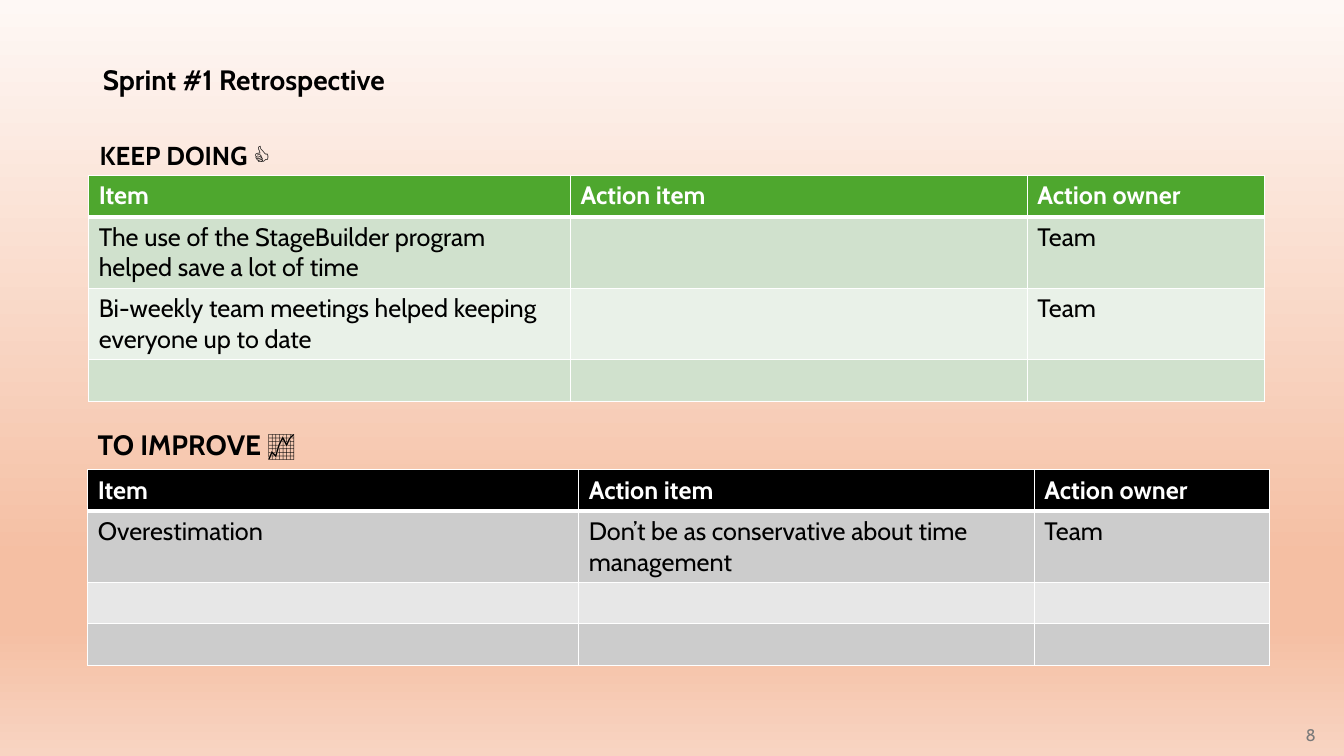
from copy import deepcopy

from lxml import etree
from pptx import Presentation
from pptx.dml.color import RGBColor
from pptx.enum.text import MSO_ANCHOR, PP_ALIGN
from pptx.oxml.ns import qn
from pptx.util import Inches, Pt

LEFT, RIGHT = PP_ALIGN.LEFT, PP_ALIGN.RIGHT
TOP, MIDDLE = MSO_ANCHOR.TOP, MSO_ANCHOR.MIDDLE

FONT = "Cabin"
COLORS = {
    "text": "000000",
    "light": "FFFFFF",
    "page": "797979",
    "keep_header": "4EA72E",
    "keep_odd": "D0E1CD",
    "keep_even": "E9F1E8",
    "improve_header": "000000",
    "improve_odd": "CCCCCC",
    "improve_even": "E7E7E7",
}
BACKGROUND_STOPS = [(0, "FEF8F5"), (74, "F5BFA3"), (83, "F5BFA3"), (100, "F8D4C2")]

HEADINGS = ["Item", "Action item", "Action owner"]
KEEP_ROWS = [
    ["The use of the StageBuilder program helped save a lot of time", "", "Team"],
    ["Bi-weekly team meetings helped keeping everyone up to date", "", "Team"],
    ["", "", ""],
]
IMPROVE_ROWS = [
    ["Overestimation", "Don’t be as conservative about time management", "Team"],
    ["", "", ""],
    ["", "", ""],
]
ONE_LINE, TWO_LINES = 0.41, 0.71


def rgb(name):
    return RGBColor.from_string(COLORS[name])


def paint_background(slide):
    fill = slide.background.fill
    fill.gradient()
    fill.gradient_angle = 270
    stop_list = next(slide.element.iter(qn("a:gsLst")))
    stop_list.extend([deepcopy(stop_list[0]) for _ in BACKGROUND_STOPS[2:]])
    for stop, (percent, color) in zip(fill.gradient_stops, BACKGROUND_STOPS):
        stop.color.rgb = RGBColor.from_string(color)
    for element, (percent, _) in zip(stop_list, BACKGROUND_STOPS):
        element.set("pos", str(percent * 1000))


def write(frame, text, size, color="text", bold=False, **paragraph_format):
    paragraph = frame.paragraphs[0]
    for attribute, value in paragraph_format.items():
        setattr(paragraph, attribute, value)
    run = paragraph.add_run()
    run.text = text
    formats = {"name": FONT, "size": Pt(size), "bold": bold}
    for attribute, value in formats.items():
        setattr(run.font, attribute, value)
    run.font.color.rgb = rgb(color)


def add_title(slide, text):
    title = slide.shapes.title
    position = {"left": 0.92, "top": 0.4, "width": 11.5, "height": 0.81}
    for attribute, value in position.items():
        setattr(title, attribute, Inches(value))
    title.text_frame.vertical_anchor = MIDDLE
    write(title.text_frame, text, 20, bold=True, alignment=LEFT, line_spacing=0.9)


def add_label(slide, box, text, size, anchor=TOP, **formats):
    frame = slide.shapes.add_textbox(*map(Inches, box)).text_frame
    frame.word_wrap = True
    frame.vertical_anchor = anchor
    write(frame, text, size, **formats)


def add_borders(cell, bottom_width):
    properties = cell._tc.get_or_add_tcPr()
    widths = {"a:lnL": 1, "a:lnR": 1, "a:lnT": 1, "a:lnB": bottom_width}
    for index, (tag, width) in enumerate(widths.items()):
        line = etree.Element(qn(tag), w=str(Pt(width)))
        solid = etree.SubElement(line, qn("a:solidFill"))
        etree.SubElement(solid, qn("a:srgbClr"), val=COLORS["light"])
        properties.insert(index, line)


def add_action_table(slide, left, top, widths, heights, rows, theme):
    table = slide.shapes.add_table(
        len(heights), len(widths), Inches(left), Inches(top),
        Inches(sum(widths)), Inches(sum(heights))).table
    for column, width in zip(table.columns, widths):
        column.width = Inches(width)
    for row, height in zip(table.rows, heights):
        row.height = Inches(height)

    for r, texts in enumerate([HEADINGS] + rows):
        header = r == 0
        band = "header" if header else "odd" if r % 2 else "even"
        for c, text in enumerate(texts):
            cell = table.cell(r, c)
            cell.fill.solid()
            cell.fill.fore_color.rgb = rgb(f"{theme}_{band}")
            add_borders(cell, 3 if header else 1)
            if text:
                write(cell.text_frame, text, 18, "light" if header else "text", header)


def main():
    deck = Presentation()
    deck.slide_width, deck.slide_height = Inches(13.33), Inches(7.5)
    slide = deck.slides.add_slide(deck.slide_layouts[5])
    paint_background(slide)

    # Title and page number
    add_title(slide, "Sprint #1 Retrospective")
    add_label(slide, (10.15, 7.09, 3, 0.4), "8", 12, MIDDLE,
              color="page", alignment=RIGHT)

    # What to keep doing
    add_label(slide, (0.89, 1.21, 5.87, 0.56), "KEEP DOING 👍", 18.5,
              bold=True, line_spacing=1.4, space_before=Pt(10))
    add_action_table(slide, 0.88, 1.74, [4.78, 4.53, 2.35],
                     [ONE_LINE, TWO_LINES, TWO_LINES, ONE_LINE], KEEP_ROWS, "keep")

    # What to improve
    add_label(slide, (0.87, 4.03, 10.1, 0.64), "TO IMPROVE\u00a0📈".replace("\u00a0", " "), 20,
              bold=True, line_spacing=1.5, space_before=Pt(10))
    add_action_table(slide, 0.87, 4.66, [4.87, 4.52, 2.33],
                     [ONE_LINE, TWO_LINES, ONE_LINE, ONE_LINE], IMPROVE_ROWS, "improve")

    deck.save("out.pptx")


if __name__ == "__main__":
    main()
